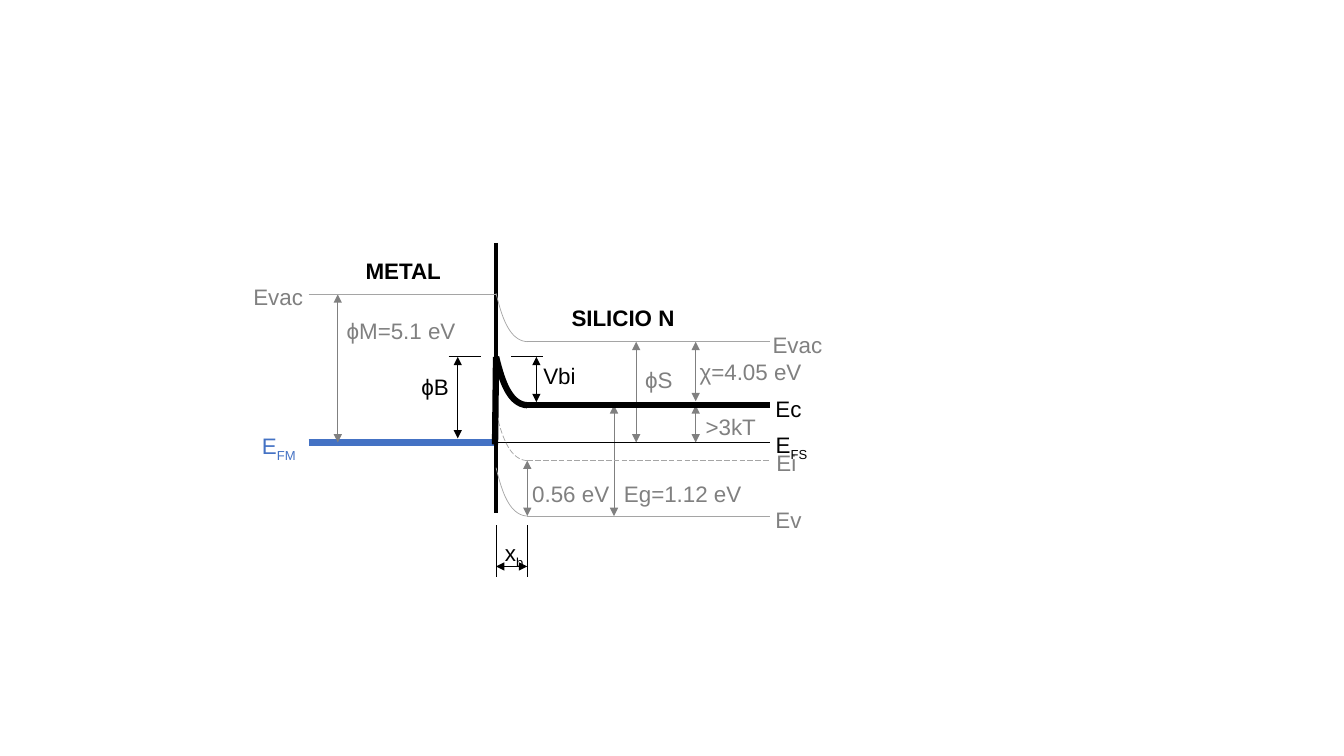
from lxml.etree import SubElement
from pptx import Presentation
from pptx.dml.color import RGBColor
from pptx.enum.dml import MSO_LINE
from pptx.enum.shapes import MSO_CONNECTOR
from pptx.enum.text import MSO_AUTO_SIZE, PP_ALIGN
from pptx.oxml.ns import qn
from pptx.util import Inches, Pt

BLACK = RGBColor(0x00, 0x00, 0x00)
GRAY = RGBColor(0x80, 0x80, 0x80)
PALE = RGBColor(0xA5, 0xA5, 0xA5)
BLUE = RGBColor(0x44, 0x72, 0xC4)

LEFT, FACE, BEND, RIGHT = 3.06, 4.92, 5.23, 7.64
VAC, COND, FERMI, MID, VAL = 3.39, 4.02, 4.39, 4.57, 5.12
RISE = 0.48
PEAK = COND - RISE
TOP = 2.92
THIN, THICK = 0.5, 4.5


class Diagram:
    """Draws the parts of a band diagram on one slide."""

    def __init__(self, slide, font="Arial", size=16):
        self.shapes = slide.shapes
        self.font = font
        self.size = size

    def stroke(self, shape, color, width, dash):
        shape.line.color.rgb = color
        shape.line.width = Pt(width)
        if dash:
            shape.line.dash_style = MSO_LINE.LONG_DASH

    def line(self, x1, y1, x2, y2, color=BLACK, width=THIN, dash=False):
        line = self.shapes.add_connector(
            MSO_CONNECTOR.STRAIGHT, Inches(x1), Inches(y1), Inches(x2), Inches(y2))
        self.stroke(line, color, width, dash)
        SubElement(line._element.spPr, qn("a:effectLst"))
        return line

    def arrow(self, x1, y1, x2, y2, color=BLACK):
        line = self.line(x1, y1, x2, y2, color)
        for end in ("a:headEnd", "a:tailEnd"):
            SubElement(line.line._get_or_add_ln(), qn(end), type="triangle")

    def curve(self, level, color, width, dash, steps=24):
        knots = ((BEND, level), (5.04, level - 0.01),
                 (4.97, level - 0.28), (FACE, level - RISE))
        points = []
        for step in range(steps + 1):
            t = step / steps
            parts = ((1 - t) ** 3, 3 * t * (1 - t) ** 2, 3 * t * t * (1 - t), t ** 3)
            points.append(tuple(
                Inches(sum(part * knot[axis] for part, knot in zip(parts, knots)))
                for axis in (0, 1)))
        form = self.shapes.build_freeform(*points[0])
        form.add_line_segments(points[1:], close=False)
        bend = form.convert_to_shape()
        bend.shadow.inherit = False
        bend.fill.background()
        self.stroke(bend, color, width, dash)

    def band(self, level, color, width, dash):
        self.line(BEND, level, RIGHT, level, color, width, dash)
        self.curve(level, color, width, dash)

    def label(self, text, x, y, width, color=GRAY, sub="", bold=False,
              align=PP_ALIGN.LEFT, wrap=False):
        box = self.shapes.add_textbox(Inches(x), Inches(y), Inches(width), Inches(0.37))
        frame = box.text_frame
        frame.word_wrap = wrap
        frame.auto_size = MSO_AUTO_SIZE.SHAPE_TO_FIT_TEXT
        para = frame.paragraphs[0]
        para.alignment = align
        para.font.name = self.font
        para.font.size = Pt(self.size)
        para.font.bold = bold
        para.font.color.rgb = color
        para.add_run().text = text
        if sub:
            run = para.add_run()
            run.text = sub
            run._r.get_or_add_rPr().set("baseline", "-25000")


def main():
    deck = Presentation()
    deck.slide_width, deck.slide_height = Inches(13.33), Inches(7.5)
    draw = Diagram(deck.slides.add_slide(deck.slide_layouts[6]))

    for x, y, end in ((6.9, COND, FERMI), (BEND, MID, VAL), (6.09, COND, VAL),
                      (6.31, VAC, FERMI), (6.9, VAC, 3.98)):
        draw.arrow(x, y, x, end, GRAY)
    draw.line(FACE, FERMI, RIGHT, FERMI)
    draw.line(LEFT, FERMI, FACE, FERMI, BLUE, THICK)
    draw.arrow(3.35, TOP, 3.35, FERMI, GRAY)
    draw.line(FACE, 2.41, FACE, 5.09, width=2.25)
    draw.line(LEFT, TOP, FACE, TOP, PALE)
    for level, color, width, dash in (
            (VAC, PALE, THIN, False), (COND, BLACK, THICK, False),
            (MID, PALE, THIN, True), (VAL, PALE, THIN, False)):
        draw.band(level, color, width, dash)
    draw.line(FACE, PEAK, 4.91, 4.41, width=THICK)

    for x in (FACE, BEND):
        draw.line(x, 5.21, x, 5.72)
    draw.arrow(FACE, 5.62, BEND, 5.62)
    for x in (4.45, 5.07):
        draw.line(x, PEAK, x + 0.32, PEAK)
    draw.arrow(4.54, PEAK, 4.54, 4.35)
    draw.arrow(5.32, PEAK, 5.32, 3.99)

    for text, x, y, width in (
            (">3kT", 6.9, 4.05, 0.71), ("0.56 eV", 5.18, 4.71, 0.98),
            ("Eg=1.12 eV", 6.09, 4.71, 1.38), ("ϕS", 6.3, 3.58, 0.48),
            ("ϕM=5.1 eV", 3.34, 3.1, 1.3)):
        draw.label(text, x, y, width)
    draw.label("χ=4.05 eV", 6.84, 3.5, 1.29, wrap=True)
    draw.label("ϕB", 4.08, 3.65, 0.48, BLACK)
    draw.label("Vbi", 5.29, 3.54, 0.52, BLACK)
    draw.label("x", 4.91, 5.3, 0.4, BLACK, sub="b")
    for text, x, y, width, color, sub in (
            ("Evac", 7.56, 3.24, 0.7, GRAY, ""), ("Ec", 7.59, 3.87, 0.46, BLACK, ""),
            ("Ev", 7.59, 4.97, 0.46, GRAY, ""), ("Ei", 7.6, 4.41, 0.4, GRAY, ""),
            ("E", 7.58, 4.23, 0.54, BLACK, "FS"), ("Evac", 2.41, 2.76, 0.7, GRAY, ""),
            ("E", 2.48, 4.24, 0.57, BLUE, "FM")):
        draw.label(text, x, y, width, color, sub, align=PP_ALIGN.CENTER)
    for text, x, y, width in (("SILICIO N", 5.56, 2.97, 1.24), ("METAL", 3.52, 2.5, 0.96)):
        draw.label(text, x, y, width, BLACK, bold=True, align=PP_ALIGN.CENTER)

    deck.save("out.pptx")


if __name__ == "__main__":
    main()
